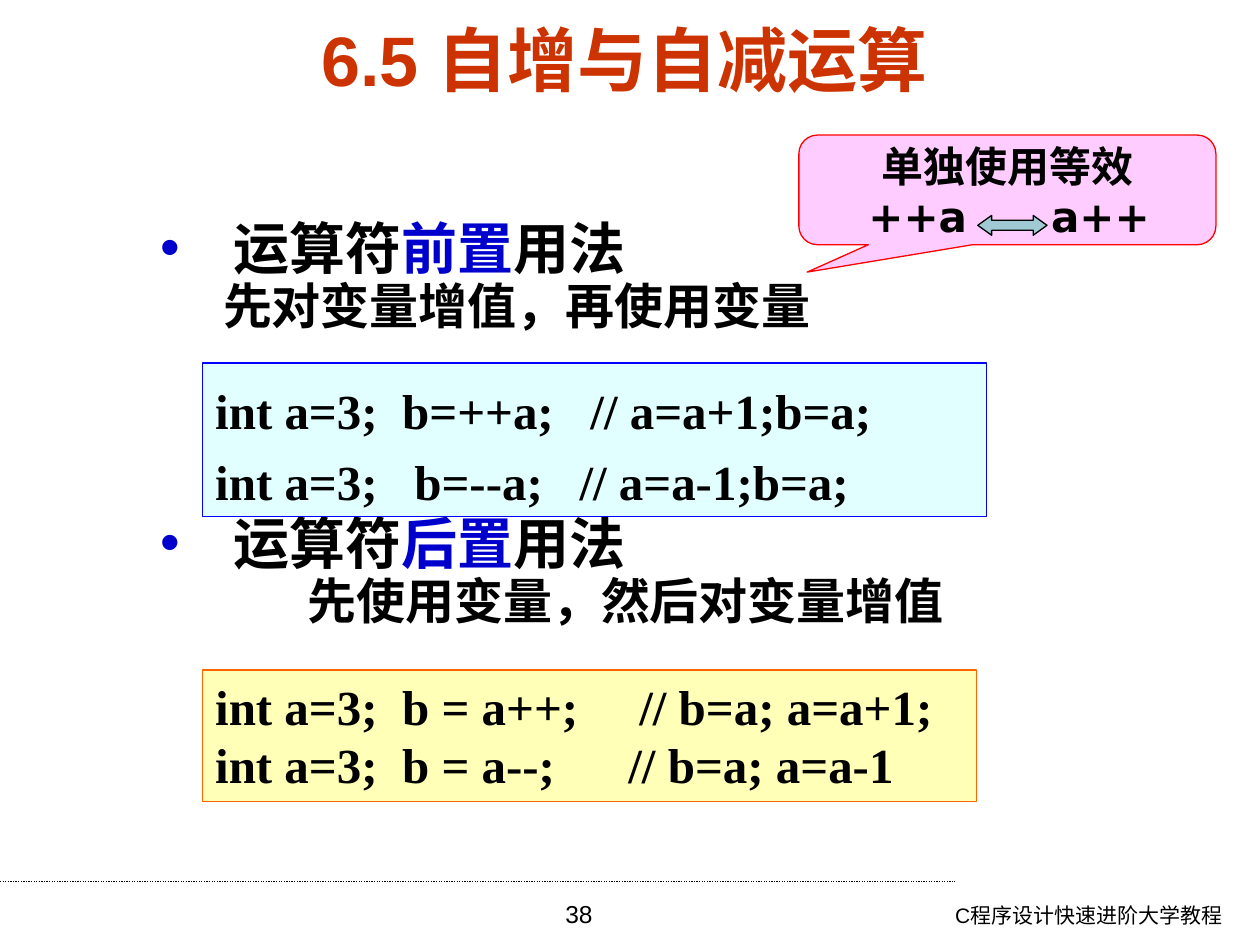
from lxml import etree
from pptx import Presentation, util as u
from pptx.dml.color import RGBColor
from pptx.enum import dml, shapes, text
from pptx.oxml.ns import qn

BLACK = RGBColor(0x00, 0x00, 0x00)
RUST = RGBColor(0xCC, 0x33, 0x00)
NAVY = RGBColor(0x00, 0x00, 0xCC)
BLUE = RGBColor(0x00, 0x00, 0xFF)
CYAN = RGBColor(0xCC, 0xFF, 0xFF)
ORANGE = RGBColor(0xFF, 0x66, 0x00)
YELLOW = RGBColor(0xFF, 0xFF, 0x99)
RED = RGBColor(0xFF, 0x00, 0x00)
PINK = RGBColor(0xFF, 0xCC, 0xFF)
TEAL = RGBColor(0x9F, 0xCA, 0xD3)
HAN = "Noto Sans CJK SC"
ROMAN = "Times New Roman"
LEFT, MID, RIGHT = text.PP_ALIGN.LEFT, text.PP_ALIGN.CENTER, text.PP_ALIGN.RIGHT

deck = Presentation()
deck.slide_width, deck.slide_height = u.Inches(10), u.Inches(7.5)
slide = deck.slides.add_slide(deck.slide_layouts[1])


def area(x, y, w, h):
    """Turn percentages of the slide's width and height into lengths."""
    wide, high = deck.slide_width / 100, deck.slide_height / 100
    return int(x * wide), int(y * high), int(w * wide), int(h * high)


def style(para, size, face, color=BLACK, bold=True, align=LEFT):
    para.alignment = align
    for run in para.runs:
        font = run.font
        font.size, font.bold, font.name = u.Pt(size), bold, face
        font.color.rgb = color
        etree.SubElement(run._r.get_or_add_rPr(), qn("a:ea"), typeface=HAN)


# Footer
x, y, w, h = area(0, 93.3, 75.8, 0)
rule = slide.shapes.add_connector(shapes.MSO_CONNECTOR.STRAIGHT, x, y, x + w, y)
rule.line.color.rgb, rule.line.width = BLACK, u.Pt(0.75)
rule.line.dash_style = dml.MSO_LINE.ROUND_DOT
etree.SubElement(rule._element.spPr, qn("a:effectLst"))

for words, size, align, place in (
    ("C程序设计快速进阶大学教程", 12, RIGHT, (65.7, 94.8, 32.3, 5.2)),
    ("38", 14, MID, (34.3, 94.5, 23.3, 5.5)),
):
    frame = slide.shapes.add_textbox(*area(*place)).text_frame
    frame.word_wrap = True
    frame.text = words
    style(frame.paragraphs[0], size, "Arial", bold=False, align=align)

# Title
title = slide.shapes.title
title.left, title.top, title.width, title.height = area(4.3, 2.8, 90.5, 6.7)
frame = title.text_frame
frame.text = "6.5 自增与自减运算"
frame.auto_size = text.MSO_AUTO_SIZE.NONE
frame.vertical_anchor = text.MSO_ANCHOR.MIDDLE
style(frame.paragraphs[0], 40, "Arial", RUST, align=MID)

# Body: two bullets, each with a line of explanation
body = slide.placeholders[1]
body.left, body.top, body.width, body.height = area(6.7, 14.3, 87.3, 76.7)
frame = body.text_frame
frame.auto_size = text.MSO_AUTO_SIZE.NONE
frame.margin_top = u.Inches(0.62)
for i, (key, note, inset, gap) in enumerate((
    ("前置", "先对变量增值，再使用变量", 1, 0),
    ("后置", "先使用变量，然后对变量增值", 1.67, 99),
)):
    head = frame.add_paragraph() if i else frame.paragraphs[0]
    head.level, head.space_before = 1, u.Pt(gap)
    prop = head._p.get_or_add_pPr()
    prop.set("marL", str(u.Inches(1.08)))
    prop.set("indent", str(u.Inches(-0.58)))
    tint = etree.SubElement(prop, qn("a:buClr"))
    etree.SubElement(tint, qn("a:srgbClr"), val=str(NAVY))
    etree.SubElement(prop, qn("a:buChar"), char="•")
    for part in ("运算符", key, "用法"):
        head.add_run().text = part
    style(head, 32, HAN)
    head.runs[1].font.color.rgb = NAVY

    line = frame.add_paragraph()
    line.text = note
    line.level, line.space_before, line.line_spacing = 2, u.Pt(1), 0.9
    prop = line._p.get_or_add_pPr()
    prop.set("marL", str(u.Inches(inset)))
    prop.set("indent", "0")
    etree.SubElement(prop, qn("a:buNone"))
    style(line, 28, ROMAN)

# Code boxes
for code, place, fill, edge, alpha, pitch in (
    ("int a=3;  b=++a;   // a=a+1;b=a;\nint a=3;   b=--a;   // a=a-1;b=a;",
     (16.1, 38.4, 62.2, 16.3), CYAN, BLUE, 58, 1.2),
    ("int a=3;  b = a++;     // b=a; a=a+1;\nint a=3;  b = a--;      // b=a; a=a-1",
     (16.1, 70.9, 61.4, 13.9), YELLOW, ORANGE, 70, 1.0),
):
    box = slide.shapes.add_shape(shapes.MSO_SHAPE.RECTANGLE, *area(*place))
    box.shadow.inherit = False
    box.fill.solid()
    box.fill.fore_color.rgb = fill
    shade = box._element.spPr.find(qn("a:solidFill")).find(qn("a:srgbClr"))
    etree.SubElement(shade, qn("a:alpha"), val=str(alpha * 1000))
    box.line.color.rgb, box.line.width = edge, u.Pt(0.75)
    frame = box.text_frame
    frame.text = code
    frame.vertical_anchor = text.MSO_ANCHOR.TOP
    for para in frame.paragraphs:
        para.line_spacing = pitch
        style(para, 28, ROMAN)

# Callout with its double arrow
group = slide.shapes.add_group_shape()
for kind, place, fill, edge, bends in (
    (shapes.MSO_SHAPE.ROUNDED_RECTANGULAR_CALLOUT, (63.4, 14.3, 33.1, 11.6),
     PINK, RED, (-0.48, 0.75, 0.17)),
    (shapes.MSO_SHAPE.LEFT_RIGHT_ARROW, (77.6, 22.8, 5.5, 2.1),
     TEAL, BLACK, (0.5, 0.7)),
):
    item = group.shapes.add_shape(kind, *area(*place))
    item.shadow.inherit = False
    item.fill.solid()
    item.fill.fore_color.rgb = fill
    item.line.color.rgb, item.line.width = edge, u.Pt(0.75)
    for i, bend in enumerate(bends):
        item.adjustments[i] = bend

frame = group.shapes[0].text_frame
frame.text = "单独使用等效\n\t++a\ta++"
frame.vertical_anchor = text.MSO_ANCHOR.TOP
frame.margin_top = 0
top, pair = frame.paragraphs
stops = etree.SubElement(pair._p.get_or_add_pPr(), qn("a:tabLst"))
for stop in (0.41, 1.86):
    etree.SubElement(stops, qn("a:tab"), pos=str(u.Inches(stop)), algn="l")
style(top, 24, "DejaVu Sans", align=MID)
style(pair, 24, "DejaVu Sans")

deck.save("out.pptx")
